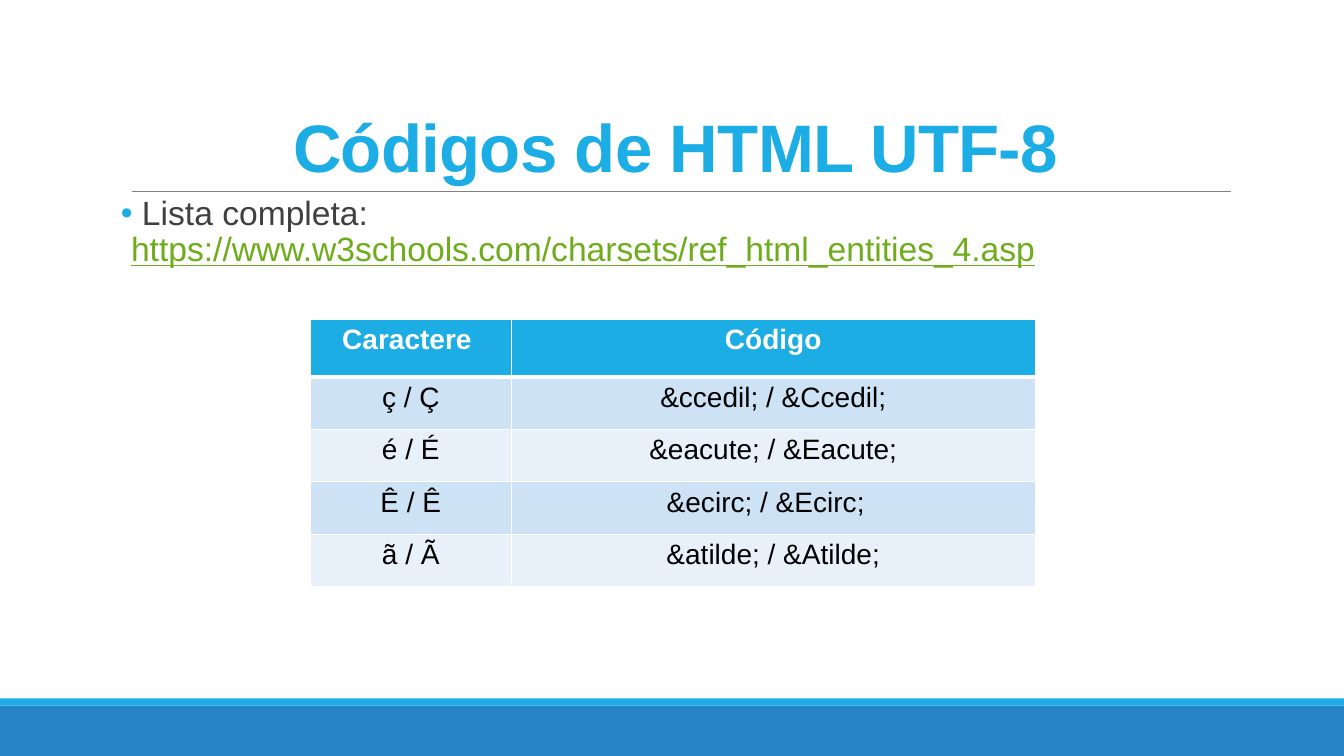
from lxml import etree
from pptx import Presentation
from pptx.dml.color import RGBColor
from pptx.enum.shapes import MSO_CONNECTOR, MSO_SHAPE
from pptx.enum.text import MSO_ANCHOR, PP_ALIGN
from pptx.oxml.ns import qn
from pptx.util import Inches, Pt

RECT = MSO_SHAPE.RECTANGLE
LINE = MSO_CONNECTOR.STRAIGHT
BOTTOM = MSO_ANCHOR.BOTTOM
CENTER = PP_ALIGN.CENTER

WHITE = RGBColor(0xFF, 0xFF, 0xFF)
BLACK = RGBColor(0x00, 0x00, 0x00)
CYAN = RGBColor(0x1C, 0xAD, 0xE4)
BLUE = RGBColor(0x26, 0x83, 0xC6)
GRAY = RGBColor(0x80, 0x80, 0x80)
DARK = RGBColor(0x40, 0x40, 0x40)
GREEN = RGBColor(0x6E, 0xAC, 0x1C)
BANDS = [RGBColor(0xE8, 0xF1, 0xFA), RGBColor(0xCD, 0xE3, 0xF5)]


def style(run, size, color, bold=False):
    run.font.name = "Arial"
    run.font.size = Pt(size)
    run.font.color.rgb = color
    run.font.bold = bold


def border(cell, side, width):
    edge = etree.SubElement(cell._tc.get_or_add_tcPr(), qn("a:" + side), w=str(Pt(width)))
    fill = etree.SubElement(edge, qn("a:solidFill"))
    etree.SubElement(fill, qn("a:srgbClr"), val=str(WHITE))


prs = Presentation()
prs.slide_width = Inches(13.33)
prs.slide_height = Inches(7.5)
slide = prs.slides.add_slide(prs.slide_layouts[6])
shapes = slide.shapes

# Footer bars
for top, height, color in [(7, 0.5, BLUE), (6.93, 0.07, CYAN)]:
    bar = shapes.add_shape(RECT, 0, Inches(top), Inches(13.33), Inches(height))
    bar.shadow.inherit = False
    bar.fill.solid()
    bar.fill.fore_color.rgb = color
    bar.line.fill.background()

# Rule under the title
rule = shapes.add_connector(LINE, Inches(1.31), Inches(1.9), Inches(12.21), Inches(1.9))
rule.line.color.rgb = GRAY
rule.line.width = Pt(0.5)
etree.SubElement(rule._element.spPr, qn("a:effectLst"))

# Title
title = shapes.add_textbox(Inches(1.2), Inches(0.31), Inches(11), Inches(1.59))
frame = title.text_frame
frame.word_wrap = True
frame.vertical_anchor = BOTTOM
frame.text = "Códigos de HTML UTF-8"
para = frame.paragraphs[0]
para.alignment = CENTER
para.line_spacing = 0.85
style(para.runs[0], 48, CYAN, True)
para.runs[0].font._element.set("spc", "-50")

# Bullet with the address
body = shapes.add_textbox(Inches(1.2), Inches(1.9), Inches(11), Inches(4.94))
frame = body.text_frame
frame.word_wrap = True
frame.margin_left = frame.margin_right = 0
para = frame.paragraphs[0]
para.line_spacing = 0.9
props = para._p.get_or_add_pPr()
props.set("marL", str(Inches(0.1)))
props.set("indent", str(Inches(-0.1)))
tint = etree.SubElement(props, qn("a:buClr"))
etree.SubElement(tint, qn("a:srgbClr"), val=str(CYAN))
etree.SubElement(props, qn("a:buFont"), typeface="Arial")
etree.SubElement(props, qn("a:buChar"), char="•")
label = para.add_run()
label.text = " Lista completa: "
style(label, 24, DARK)
link = para.add_run()
link.text = "https://www.w3schools.com/charsets/ref_html_entities_4.asp"
style(link, 24, GREEN)
link.font.underline = True

# Table of characters and codes
rows = [
    ("Caractere ", "Código"),
    ("ç / Ç", "&ccedil; / &Ccedil;"),
    ("é / É", "&eacute; / &Eacute;"),
    ("Ê / Ê", "&ecirc; / &Ecirc;"),
    ("ã / Ã", "&atilde; / &Atilde;"),
]
table = shapes.add_table(len(rows), 2, Inches(3.08), Inches(3.17),
                         Inches(7.19), Inches(2.65)).table
table.columns[0].width = Inches(1.99)
table.columns[1].width = Inches(5.2)
for r, texts in enumerate(rows):
    head = r == 0
    table.rows[r].height = Inches(0.57 if head else 0.52)
    for c, text in enumerate(texts):
        cell = table.cell(r, c)
        cell.text = text
        para = cell.text_frame.paragraphs[0]
        para.alignment = CENTER
        style(para.runs[0], 20, WHITE if head else BLACK, head)
        for side in ("lnL", "lnR", "lnT", "lnB"):
            thick = (head and side == "lnB") or (r == 1 and side == "lnT")
            border(cell, side, 3 if thick else 1)
        cell.fill.solid()
        cell.fill.fore_color.rgb = CYAN if head else BANDS[r % 2]

# This code sits slightly left of centre
table.cell(3, 1).margin_right = Inches(0.25)

prs.save("out.pptx")
